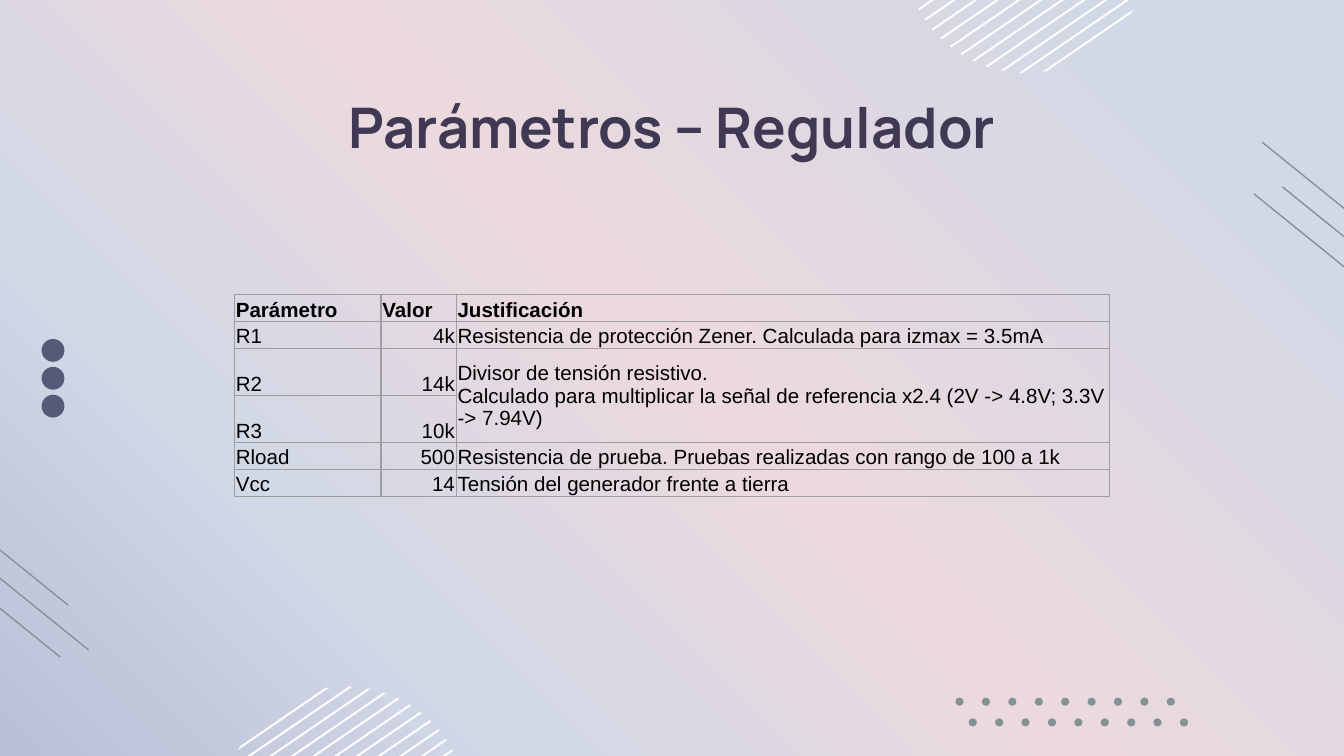
import math
from lxml import etree
from pptx import Presentation
from pptx import util as u
from pptx.dml.color import RGBColor
from pptx.enum import shapes, text
from pptx.oxml.ns import qn

WIDE = u.Inches(10)
HIGH = WIDE * 9 // 16
WHITE, SAGE, SLATE, INK, GREY = "FFFFFF", "859294", "575979", "403953", "9E9E9E"
STOPS = [(0, "D1D8E6"), (11, "D1D8E6"), (49, "ECD9DD"),
         (75, "D1D8E6"), (100, "BABFD7")]
COLS = [1.09, 0.56, 4.86]
ROWS = [0.2, 0.2, 0.35, 0.35, 0.2, 0.2]
DATA = [
    ("Parámetro", "Valor", "Justificación"),
    ("R1", "4k", "Resistencia de protección Zener. Calculada para izmax = 3.5mA"),
    ("R2", "14k", "Divisor de tensión resistivo. \vCalculado para multiplicar la señal "
                  "de referencia x2.4 (2V -> 4.8V; 3.3V -> 7.94V)"),
    ("R3", "10k", ""),
    ("Rload", "500", "Resistencia de prueba. Pruebas realizadas con rango de 100 a 1k"),
    ("Vcc", "14", "Tensión del generador frente a tierra"),
]


def area(x, y, w, h):
    """Turn percentages of the slide into lengths."""
    return [int(v * side / 100) for v, side in zip((x, y, w, h), (WIDE, HIGH) * 2)]


def paint(fill, color):
    fill.solid()
    fill.fore_color.rgb = RGBColor.from_string(color)


def plain(shape, color):
    paint(shape.fill, color)
    shape.line.fill.background()
    shape.shadow.inherit = False


def write(para, size, font, color, bold, align):
    para.alignment = align
    para.font.size, para.font.name, para.font.bold = u.Pt(size), font, bold
    para.font.color.rgb = RGBColor.from_string(color)


def backdrop(slide):
    fill = slide.background.fill
    fill.gradient()
    fill.gradient_angle = 225  # counter-clockwise: top right to bottom left
    stops = slide.background._cSld.find(".//" + qn("a:gsLst"))
    for old in list(stops):
        stops.remove(old)
    for pos, color in STOPS:
        stop = etree.SubElement(stops, qn("a:gs"), pos=str(pos * 1000))
        etree.SubElement(stop, qn("a:srgbClr"), val=color)


def hatch(slide, box, first):
    """Eleven parallel chords of a disc; chord 0 runs through its centre."""
    x, y, w, h = box
    rad = w / 2
    mid_x, mid_y = x + rad, y + h / 2
    turn = math.radians(34.4)
    cos, sin = math.cos(turn), math.sin(turn)

    def spot(off, side):
        half = side * math.sqrt(rad ** 2 - off ** 2)
        return int(mid_x + half * cos + off * sin), int(mid_y - half * sin + off * cos)

    for i in range(first, first + 11):
        low, high = (rad * (i / 10 + s * 0.008) for s in (-1, 1))
        start, *rest = spot(low, 1), spot(low, -1), spot(high, -1), spot(high, 1)
        pen = slide.shapes.build_freeform(*start)
        pen.add_line_segments(rest, close=True)
        plain(pen.convert_to_shape(), WHITE)


def dot(slide, x, y, size, color):
    plain(slide.shapes.add_shape(shapes.MSO_SHAPE.OVAL, int(x), int(y), size, size), color)


def stack(slide, box):
    x, y, w, h = box
    for i in range(3):
        dot(slide, x, y + i * (h - w) / 2, w, SLATE)


def grid(slide, box):
    """Two rows of nine dots, the lower one shifted by half a step."""
    x, y, w, h = box
    size = u.Inches(0.06)
    step = (w - size) / 8.5
    for row in range(2):
        for col in range(9):
            dot(slide, x + (col + row / 2) * step, y + row * (h - size), size, SAGE)


def rays(slide, box):
    x, y, w, h = box
    for dx, dy in ((0.21, 0.32), (0, 0.37), (0.06, 0)):
        left, top = int(x + dx * w), int(y + dy * h)
        line = slide.shapes.add_connector(shapes.MSO_CONNECTOR.STRAIGHT, left, top,
                                          int(left + 0.79 * w), int(top + 0.62 * h))
        paint(line.line.fill, SAGE)
        line.line.width = u.Pt(0.75)
        etree.SubElement(line._element.spPr, qn("a:effectLst"))


def heading(slide, box):
    title = slide.shapes.title
    title.left, title.top, title.width, title.height = box
    frame = title.text_frame
    frame.text = "Parámetros – Regulador"
    frame.auto_size = text.MSO_AUTO_SIZE.NONE
    frame.vertical_anchor = text.MSO_ANCHOR.TOP
    frame.margin_left = frame.margin_right = u.Inches(0.1)
    frame.margin_top = frame.margin_bottom = u.Inches(0.1)
    write(frame.paragraphs[0], 30, "Manrope", INK, True, text.PP_ALIGN.CENTER)


def border(cell):
    props = cell._tc.get_or_add_tcPr()
    for i, side in enumerate("LRTB"):
        line = etree.Element(qn("a:ln" + side), w=str(u.Pt(0.75)))
        fill = etree.SubElement(line, qn("a:solidFill"))
        etree.SubElement(fill, qn("a:srgbClr"), val=GREY)
        props.insert(i, line)


def params(slide, box):
    x, y, w, h = box
    table = slide.shapes.add_table(len(ROWS), len(COLS), x, y, w, h).table
    table.first_row = table.horz_banding = False
    for col, part in zip(table.columns, COLS):
        col.width = int(w * part / sum(COLS))
    for row, part in zip(table.rows, ROWS):
        row.height = int(h * part / sum(ROWS))
    for r, line in enumerate(DATA):
        for c, words in enumerate(line):
            cell = table.cell(r, c)
            cell.text = words
            cell.fill.background()
            border(cell)
            cell.margin_left = cell.margin_right = cell.margin_top = u.Inches(0.01)
            cell.margin_bottom = 0
            cell.vertical_anchor = text.MSO_ANCHOR.BOTTOM
            align = text.PP_ALIGN.RIGHT if r and c == 1 else text.PP_ALIGN.LEFT
            write(cell.text_frame.paragraphs[0], 11, "Arial", "000000", r == 0, align)
    # One reason shared by R2 and R3
    shared = table.cell(2, 2)
    shared.merge(table.cell(3, 2))
    shared.vertical_anchor = text.MSO_ANCHOR.MIDDLE


def main():
    deck = Presentation()
    deck.slide_width, deck.slide_height = WIDE, HIGH
    slide = deck.slides.add_slide(deck.slide_layouts[5])
    backdrop(slide)
    # Ornaments
    hatch(slide, area(16.6, 90.8, 18.2, 32.36), -9)
    stack(slide, area(3.1, 44.84, 1.7, 10.4))
    rays(slide, area(-3.5, 68.6, 10.1, 18.5))
    grid(slide, area(71.1, 92.3, 17.3, 3.8))
    rays(slide, area(93.3, 18.8, 10.1, 18.5))
    hatch(slide, area(67.25, -22.7, 18.2, 32.36), -1)
    # Content
    heading(slide, area(7.85, 10.5, 84.3, 9.25))
    params(slide, area(17.45, 38.95, 65.1, 26.7))
    deck.save("out.pptx")


if __name__ == "__main__":
    main()
